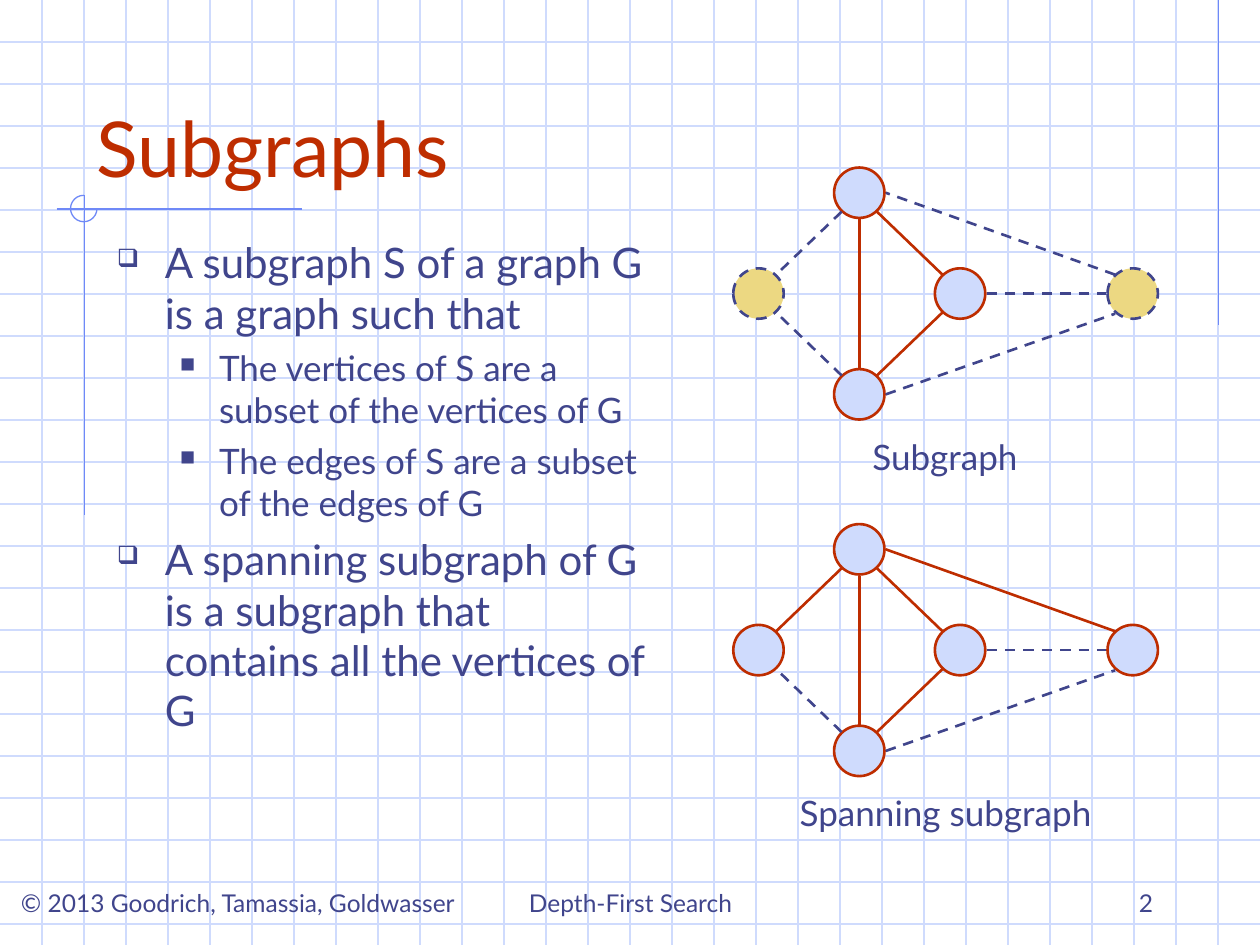
from lxml import etree
from pptx import Presentation
from pptx.dml.color import RGBColor
from pptx.enum.dml import MSO_LINE
from pptx.enum.shapes import MSO_CONNECTOR, MSO_SHAPE
from pptx.enum.text import MSO_ANCHOR, PP_ALIGN
from pptx.oxml.ns import qn
from pptx.util import Inches, Pt

STRAIGHT = MSO_CONNECTOR.STRAIGHT
DASH = MSO_LINE.DASH
TOP, BOTTOM = MSO_ANCHOR.TOP, MSO_ANCHOR.BOTTOM
LEFT, CENTER, RIGHT = PP_ALIGN.LEFT, PP_ALIGN.CENTER, PP_ALIGN.RIGHT
FONT = "Lato"
color = RGBColor.from_string
NAVY, RED, PALE, BLUE, YELLOW = "40458C", "BE2D00", "CFDBFD", "6F89F7", "ECD882"

deck = Presentation()
deck.slide_width, deck.slide_height = Inches(10), Inches(7.5)
page = deck.slides.add_slide(deck.slide_layouts[6])


def add_line(x1, y1, x2, y2, line_color, width=0.75, dashed=False):
    line = page.shapes.add_connector(
        STRAIGHT, Inches(x1), Inches(y1), Inches(x2), Inches(y2))
    line.line.color.rgb = color(line_color)
    line.line.width = Pt(width)
    if dashed:
        line.line.dash_style = DASH
    etree.SubElement(line._element.spPr, qn("a:effectLst"))


def add_text(left, top, width, height, lines, size, align=LEFT, anchor=TOP,
             text_color=NAVY, wrap=True):
    """Add a text box with one paragraph per line and return its paragraphs."""
    box = page.shapes.add_textbox(
        Inches(left), Inches(top), Inches(width), Inches(height))
    frame = box.text_frame
    frame.word_wrap = wrap
    frame.vertical_anchor = anchor
    frame.text = "\n".join(lines)
    for para in frame.paragraphs:
        para.alignment = align
        for span in para.runs:
            span.font.name = FONT
            span.font.size = Pt(size)
            span.font.color.rgb = color(text_color)
    return frame.paragraphs


# Background grid, three squares to the inch
for step in range(1, 23):
    add_line(0, step / 3, 10, step / 3, PALE)
for step in range(1, 30):
    add_line(step / 3, 0, step / 3, 7.5, PALE)

# Accent lines and the three-quarter circle where they cross
add_line(9.67, 0, 9.67, 2.58, BLUE)
add_line(0.45, 1.66, 2.4, 1.66, BLUE)
add_line(0.67, 1.55, 0.67, 4.09, BLUE)
arc = page.shapes.add_shape(
    MSO_SHAPE.ARC, Inches(0.56), Inches(1.55), Inches(0.21), Inches(0.21))
arc.shadow.inherit = False
arc.adjustments[0] = 0
arc.adjustments[1] = 162  # 270 degrees in units of 100000/60000
arc.fill.background()
arc.line.color.rgb = color(BLUE)
arc.line.width = Pt(0.75)

# Footer, title and body
add_text(0, 7, 3.78, 0.34, ["© 2013 Goodrich, Tamassia, Goldwasser"], 14,
         CENTER, wrap=False)
add_text(3.42, 6.83, 3.17, 0.5, ["Depth-First Search"], 14, CENTER, BOTTOM)
add_text(7.17, 6.83, 2.08, 0.5, ["2"], 14, RIGHT, BOTTOM)
add_text(0.67, 0.33, 8.5, 1.25, ["Subgraphs"], 44, anchor=BOTTOM, text_color=RED)

# Level: text size, left margin, hanging indent, space before, bullet
LEVELS = [(24, 0.38, 0.38, 6, "❑"), (20, 0.81, 0.31, 5, "■")]
body = [
    (0, "A subgraph S of a graph G is a graph such that"),
    (1, "The vertices of S are a subset of the vertices of G"),
    (1, "The edges of S are a subset of the edges of G"),
    (0, "A spanning subgraph of G is a subgraph that contains all the vertices of G"),
]
paragraphs = add_text(0.83, 1.83, 4.42, 4.75, [text for _, text in body], 24)
for para, (level, _) in zip(paragraphs, body):
    size, margin, hanging, space, bullet = LEVELS[level]
    para.level = level
    para.space_before = Pt(space)
    para.runs[0].font.size = Pt(size)
    props = para._p.get_or_add_pPr()
    props.set("marL", str(Inches(margin)))
    props.set("indent", str(-Inches(hanging)))
    bullet_color = etree.SubElement(props, qn("a:buClr"))
    etree.SubElement(bullet_color, qn("a:srgbClr"), val=NAVY)
    etree.SubElement(props, qn("a:buSzPct"), val="60000")
    etree.SubElement(props, qn("a:buChar"), char=bullet)

add_text(5.94, 3.41, 3.12, 0.44, ["Subgraph"], 20, CENTER)
add_text(5.51, 6.23, 3.99, 0.44, ["Spanning subgraph"], 20, CENTER)

# Both graphs share vertices and edges; only membership differs
VERTICES = {"left": (5.82, 2.13), "top": (6.62, 1.33), "bottom": (6.62, 2.93),
            "middle": (7.42, 2.13), "right": (8.79, 2.13)}
EDGES = {
    "top-left": (6.68, 1.68, 6.16, 2.18),
    "bottom-left": (6.68, 2.98, 6.16, 2.48),
    "bottom-middle": (6.96, 2.98, 7.48, 2.48),
    "top-middle": (6.96, 1.68, 7.48, 2.18),
    "top-bottom": (6.82, 1.74, 6.82, 2.93),
    "middle-right": (7.83, 2.33, 8.78, 2.33),
    "bottom-right": (7.03, 3.13, 8.85, 2.49),
    "top-right": (8.85, 2.18, 7.03, 1.53),
}
graphs = [
    (0, {"left", "right"},
     {"top-left", "bottom-left", "middle-right", "bottom-right", "top-right"}),
    (2.83, set(), {"bottom-left", "middle-right", "bottom-right"}),
]
for drop, left_out_vertices, left_out_edges in graphs:
    for name, (x, y) in VERTICES.items():
        left_out = name in left_out_vertices
        vertex = page.shapes.add_shape(
            MSO_SHAPE.OVAL, Inches(x), Inches(y + drop), Inches(0.4), Inches(0.4))
        vertex.shadow.inherit = False
        vertex.fill.solid()
        vertex.fill.fore_color.rgb = color(YELLOW if left_out else PALE)
        vertex.line.color.rgb = color(NAVY if left_out else RED)
        vertex.line.width = Pt(1.5)
        if left_out:
            vertex.line.dash_style = DASH
    for name, (x1, y1, x2, y2) in EDGES.items():
        left_out = name in left_out_edges
        add_line(x1, y1 + drop, x2, y2 + drop, NAVY if left_out else RED, 1.5, left_out)

deck.save("out.pptx")
